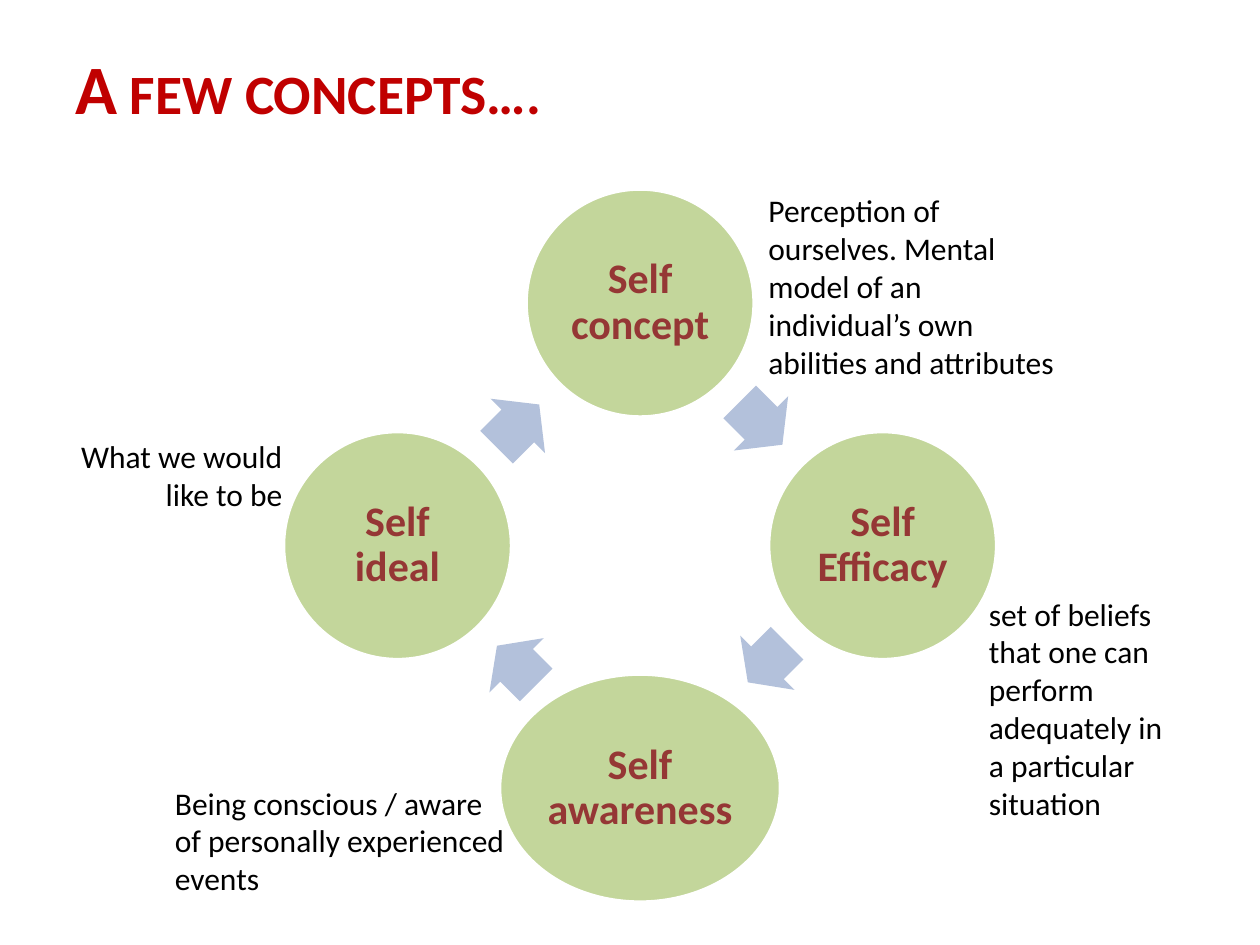
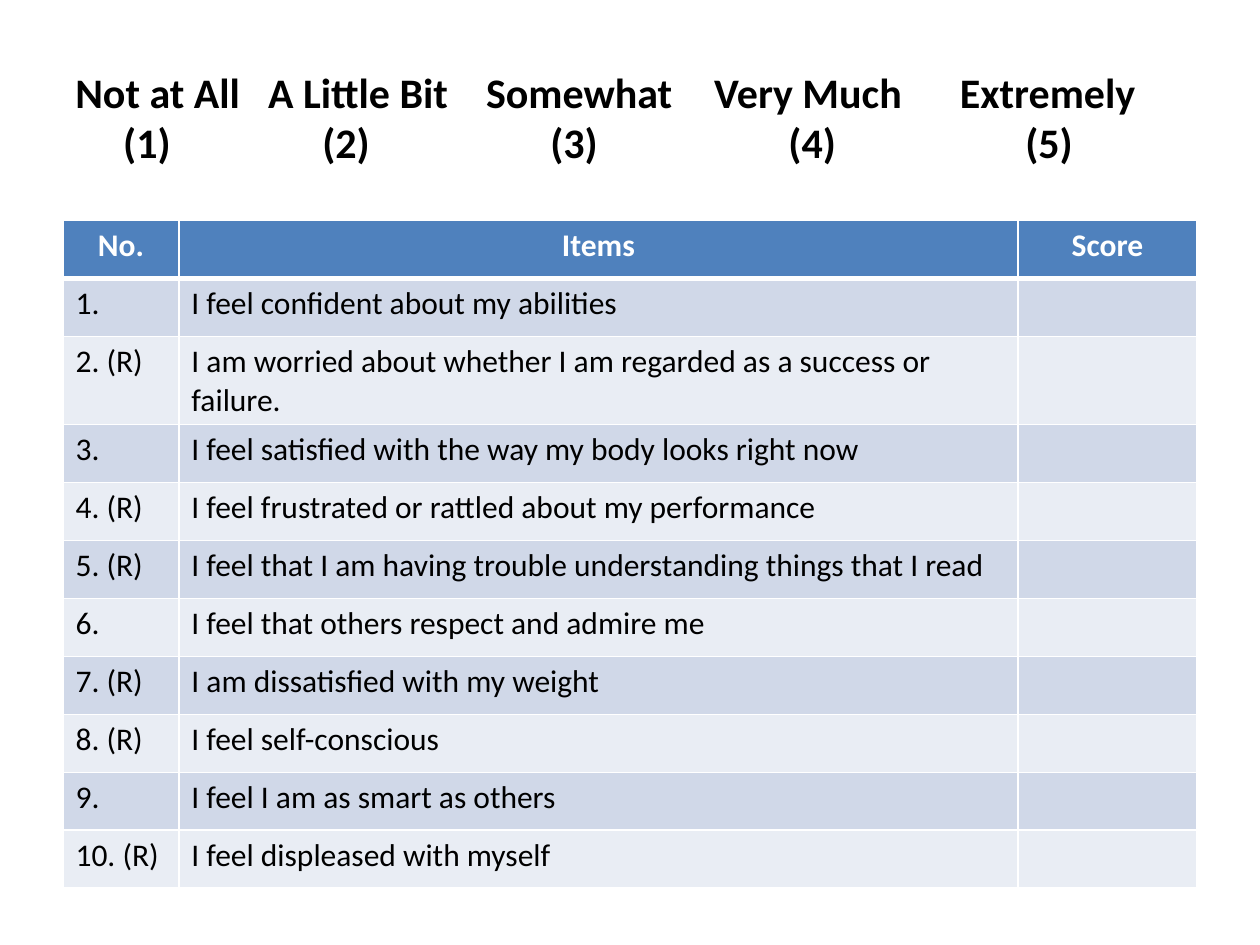
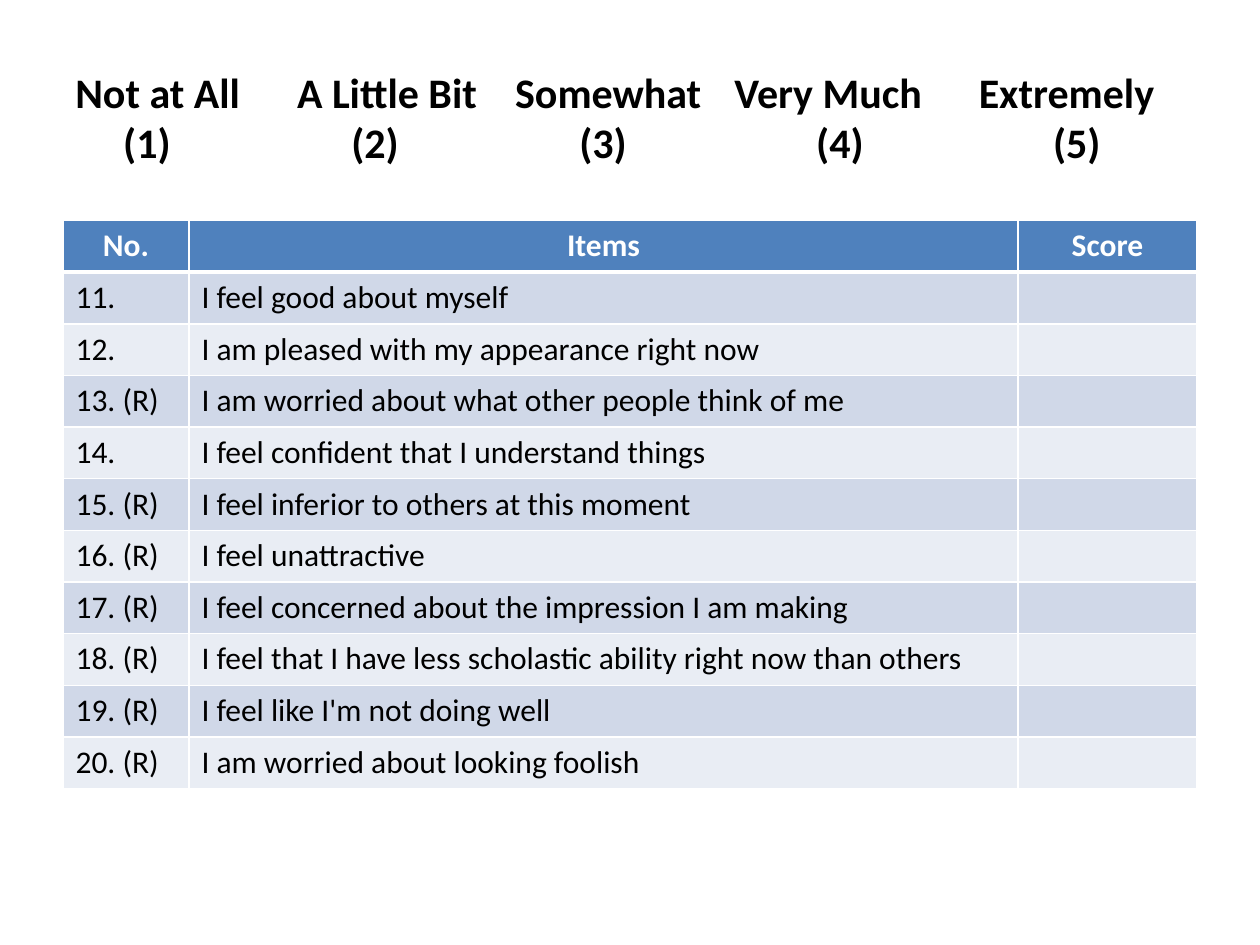
from lxml import etree
from pptx import Presentation
from pptx.dml.color import RGBColor
from pptx.enum.shapes import MSO_SHAPE
from pptx.enum.text import MSO_ANCHOR, PP_ALIGN
from pptx.oxml.ns import qn
from pptx.util import Inches, Pt

ELLIPSE, ARROW = MSO_SHAPE.OVAL, MSO_SHAPE.RIGHT_ARROW
LEFT, CENTER, RIGHT = PP_ALIGN.LEFT, PP_ALIGN.CENTER, PP_ALIGN.RIGHT
TOP, MIDDLE = MSO_ANCHOR.TOP, MSO_ANCHOR.MIDDLE

FONT = "Calibri"
BLACK, WHITE, RED, MAROON = "000000", "FFFFFF", "C00000", "953735"
GREEN, PALE_BLUE, HEADER_BLUE = "C3D69B", "B3C1DB", "4F81BD"
ROW_BANDS = ("E9EDF4", "D0D8E8")

# Title and cycle diagram: left, top, width, height
TITLE_BOX = (0.5, 0.3, 9, 0.78)
CYCLE_BOX = (2.25, 1.5, 5.66, 5.66)
CIRCLE_SIZE = 1.81
# Name, direction from the cycle centre, ellipse width
CONCEPTS = [
    ("Self concept", (0, -1), CIRCLE_SIZE),
    ("Self Efficacy", (1, 0), CIRCLE_SIZE),
    ("Self awareness", (0, 1), 2.23),
    ("Self ideal", (-1, 0), CIRCLE_SIZE),
]
# Arrow centre relative to the cycle box, and arrow length
CYCLE_ARROWS = [(3.79, 1.86, 0.48), (3.84, 3.76, 0.44), (1.85, 3.78, 0.44), (1.86, 1.88, 0.48)]
NOTES = [
    ((7.75, 4.67, 1.67, 1.92), LEFT,
     ["set of beliefs that one can perform adequately in a particular situation"]),
    ((6, 1.47, 2.58, 1.62), LEFT,
     ["Perception of ourselves. Mental model of an individual’s own abilities and attributes"]),
    ((1.29, 6.17, 2.83, 1.01), LEFT,
     ["Being conscious / aware of personally experienced events"]),
    ((0, 3.42, 2.34, 1.01), RIGHT, ["What we would", "like to be"]),
]

# Rating scale and questionnaire
SCALE_BOX = (0.5, 0.3, 9, 1.25)
TABLE_BOX = (0.5, 1.75, 9)
SCALE_LABELS = ["Not at All", "A Little Bit", "Somewhat", "Very Much", "Extremely"]
HEADERS = ["No.", "Items", "Score"]
# Each item with whether it is reverse scored
ITEMS = [
    ("I feel confident about my abilities", False),
    ("I am worried about whether I am regarded as a success or failure.", True),
    ("I feel satisfied with the way my body looks right now", False),
    ("I feel frustrated or rattled about my performance", True),
    ("I feel that I am having trouble understanding things that I read", True),
    ("I feel that others respect and admire me", False),
    ("I am dissatisfied with my weight", True),
    ("I feel self-conscious", True),
    ("I feel I am as smart as others", False),
    ("I feel displeased with myself", True),
    ("I feel good about myself", False),
    ("I am pleased with my appearance right now", False),
    ("I am worried about what other people think of me", True),
    ("I feel confident that I understand things", False),
    ("I feel inferior to others at this moment", True),
    ("I feel unattractive", True),
    ("I feel concerned about the impression I am making", True),
    ("I feel that I have less scholastic ability right now than others", True),
    ("I feel like I'm not doing well", True),
    ("I am worried about looking foolish", True),
]
# First item, last item, label tabs, number tabs, width of number column, row height
QUESTION_PAGES = [
    (1, 10, [1.53, 3.26, 5.07, 7.02], [0.38, 1.96, 3.77, 5.66, 7.54], 0.92, 0.46),
    (11, 20, [1.76, 3.49, 5.23, 7.17], [0.38, 2.19, 4, 5.88, 7.76], 1, 0.41),
]


def color(value):
    return RGBColor.from_string(value)


def inches(values):
    return [Inches(value) for value in values]


def style(paragraph, size, text_color=BLACK, bold=False, align=LEFT):
    paragraph.alignment = align
    font = paragraph.font
    font.name, font.size, font.bold = FONT, Pt(size), bold
    font.color.rgb = color(text_color)


def add_text(slide, box, lines, size, anchor=TOP, **look):
    frame = slide.shapes.add_textbox(*inches(box)).text_frame
    frame.word_wrap = True
    frame.vertical_anchor = anchor
    for index, line in enumerate(lines):
        paragraph = frame.add_paragraph() if index else frame.paragraphs[0]
        paragraph.text = line
        style(paragraph, size, **look)
    return frame


def add_plain_shape(slide, kind, box, fill):
    shape = slide.shapes.add_shape(kind, *inches(box))
    shape.shadow.inherit = False
    shape.fill.solid()
    shape.fill.fore_color.rgb = color(fill)
    shape.line.fill.background()
    return shape


def add_tab_stops(paragraph, positions):
    properties = paragraph._p.get_or_add_pPr()
    tabs = etree.Element(qn("a:tabLst"))
    for position in positions:
        etree.SubElement(tabs, qn("a:tab"), pos=str(Inches(position)), algn="l")
    properties.find(qn("a:defRPr")).addprevious(tabs)


def set_borders(cell, top, bottom):
    properties = cell._tc.get_or_add_tcPr()
    widths = {"a:lnL": 1, "a:lnR": 1, "a:lnT": top, "a:lnB": bottom}
    for index, (tag, width) in enumerate(widths.items()):
        line = etree.Element(qn(tag), w=str(Pt(width)))
        fill = etree.SubElement(line, qn("a:solidFill"))
        etree.SubElement(fill, qn("a:srgbClr"), val=WHITE)
        properties.insert(index, line)


def add_title(slide, box, text):
    frame = add_text(slide, box, [text], 39.6, MIDDLE, text_color=RED, bold=True)
    frame.paragraphs[0].runs[0]._r.get_or_add_rPr().set("cap", "small")


def add_cycle(slide, box):
    left, top, width, height = box
    radius = (width - CIRCLE_SIZE) / 2
    # Concept circles
    for name, (across, down), circle_width in CONCEPTS:
        circle_left = left + width / 2 + across * radius - circle_width / 2
        circle_top = top + height / 2 + down * radius - CIRCLE_SIZE / 2
        circle = add_plain_shape(
            slide, ELLIPSE, (circle_left, circle_top, circle_width, CIRCLE_SIZE), GREEN)
        circle.line.color.rgb = color(WHITE)
        circle.line.width = Pt(2)
        frame = circle.text_frame
        frame.word_wrap = True
        frame.vertical_anchor = MIDDLE
        frame.margin_left = frame.margin_right = Inches(0.03)
        frame.margin_top = frame.margin_bottom = Inches(0.03)
        paragraph = frame.paragraphs[0]
        paragraph.text = name
        paragraph.line_spacing = 0.9
        style(paragraph, 24, MAROON, True, CENTER)
    # Arrows run clockwise, a quarter turn apart
    arrow_height = 0.61
    for index, (x, y, length) in enumerate(CYCLE_ARROWS):
        arrow_box = (left + x - length / 2, top + y - arrow_height / 2, length, arrow_height)
        arrow = add_plain_shape(slide, ARROW, arrow_box, PALE_BLUE)
        arrow.adjustments[0], arrow.adjustments[1] = 0.6, 0.5
        arrow.rotation = 45 + 90 * index


def add_scale(slide, box, label_tabs, number_tabs):
    numbers = [f"({number})" for number in range(1, len(SCALE_LABELS) + 1)]
    lines = ["\t".join(SCALE_LABELS), "\t" + "\t".join(numbers)]
    frame = add_text(slide, box, lines, 24, MIDDLE, bold=True)
    for paragraph, tabs in zip(frame.paragraphs, (label_tabs, number_tabs)):
        add_tab_stops(paragraph, tabs)


def add_questions(slide, box, first, last, number_width, row_height):
    left, top, width = box
    rows = [HEADERS]
    for number, (item, is_reversed) in enumerate(ITEMS[first - 1:last], first):
        rows.append([f"{number}. (R)" if is_reversed else f"{number}.", item, ""])
    table = slide.shapes.add_table(
        len(rows), len(HEADERS), *inches((left, top, width, row_height * len(rows)))).table
    score_width = 1.42
    column_widths = (number_width, width - number_width - score_width, score_width)
    for column, column_width in zip(table.columns, column_widths):
        column.width = Inches(column_width)
    for row_index, row in enumerate(rows):
        is_header = row_index == 0
        table.rows[row_index].height = Inches(row_height)
        for column_index, text in enumerate(row):
            cell = table.cell(row_index, column_index)
            cell.text = text
            cell.fill.solid()
            cell.fill.fore_color.rgb = color(
                HEADER_BLUE if is_header else ROW_BANDS[row_index % 2])
            set_borders(cell, 3 if row_index == 1 else 1, 3 if is_header else 1)
            style(cell.text_frame.paragraphs[0], 18, WHITE if is_header else BLACK,
                  is_header, CENTER if is_header else LEFT)


def build_concepts(slide):
    add_title(slide, TITLE_BOX, "A few concepts….")
    add_cycle(slide, CYCLE_BOX)
    for box, align, lines in NOTES:
        add_text(slide, box, lines, 18, align=align)


def build_question_page(slide, first, last, label_tabs, number_tabs, number_width, row_height):
    add_scale(slide, SCALE_BOX, label_tabs, number_tabs)
    add_questions(slide, TABLE_BOX, first, last, number_width, row_height)


def main():
    presentation = Presentation()
    presentation.slide_width, presentation.slide_height = Inches(10), Inches(7.5)
    blank = presentation.slide_layouts[6]
    build_concepts(presentation.slides.add_slide(blank))
    for page in QUESTION_PAGES:
        build_question_page(presentation.slides.add_slide(blank), *page)
    presentation.save("out.pptx")


if __name__ == "__main__":
    main()
